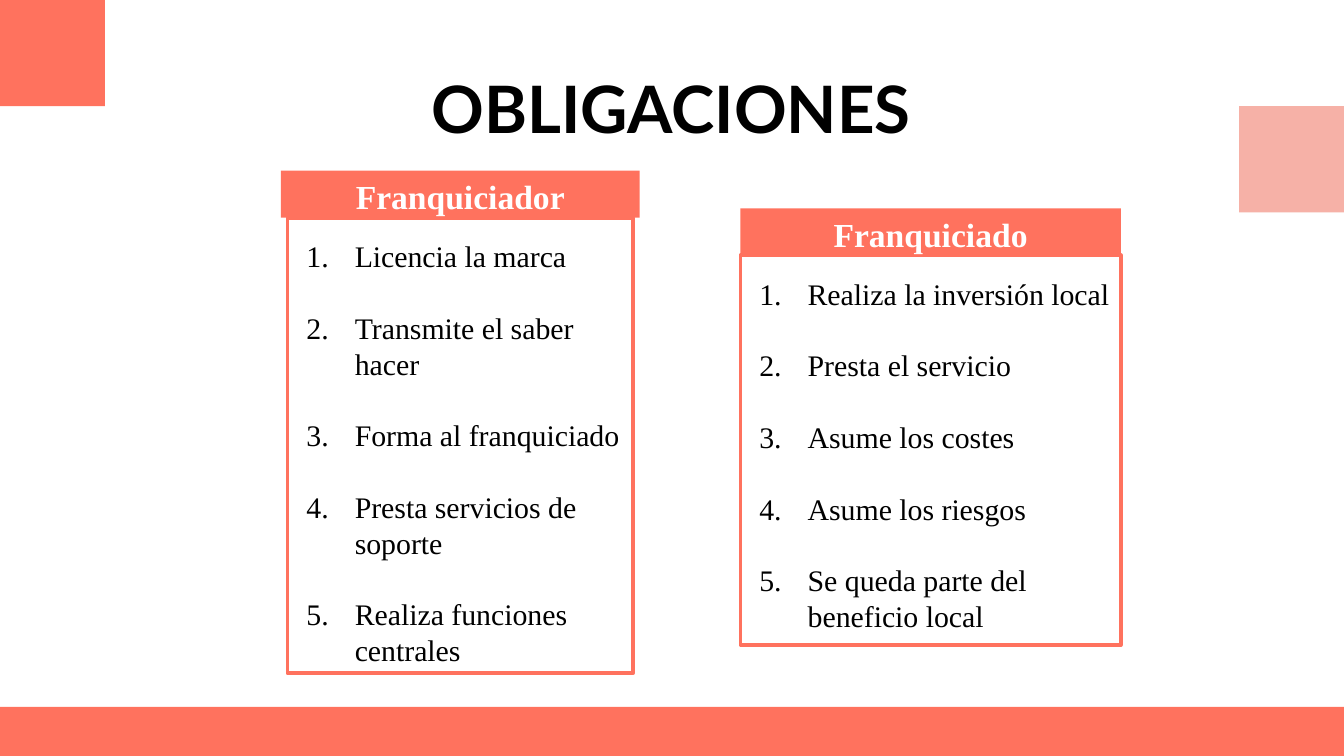
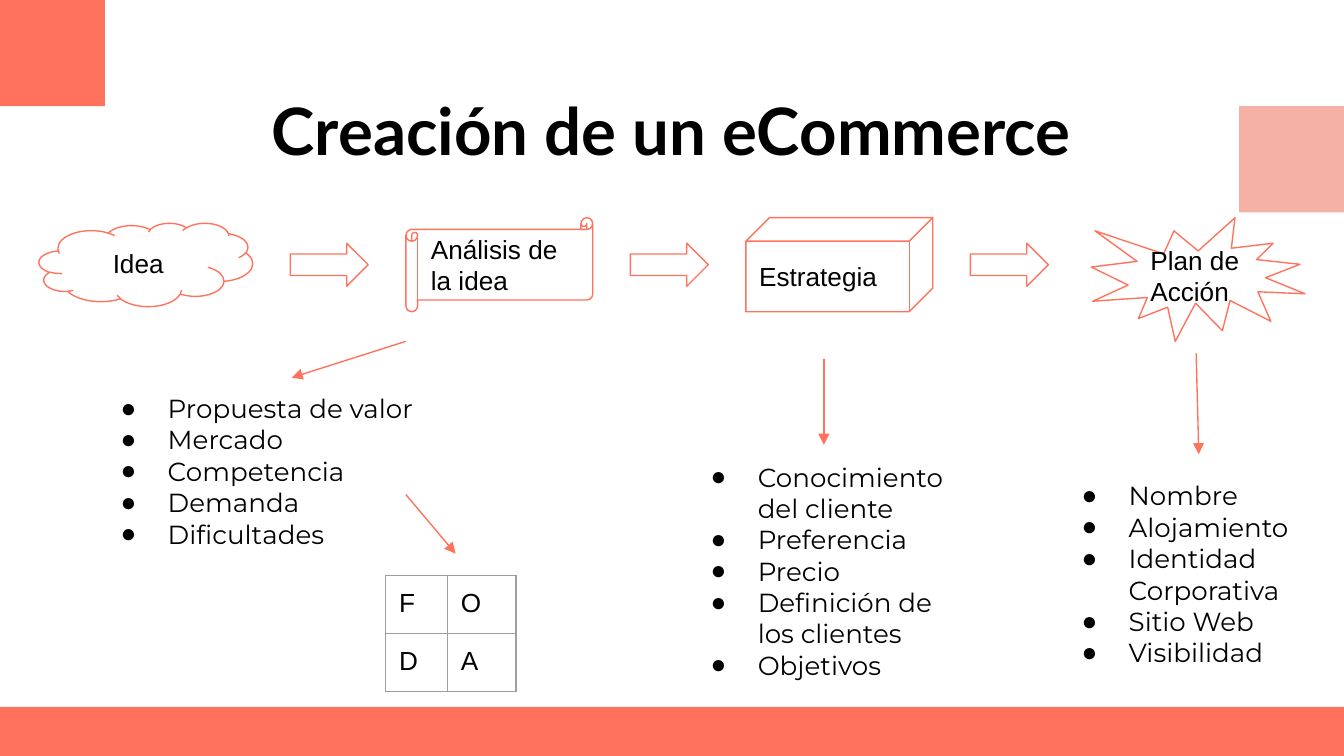
from collections import namedtuple
from dataclasses import dataclass

from lxml.etree import SubElement
from pptx import Presentation
from pptx.dml.color import RGBColor
from pptx.enum.shapes import MSO_CONNECTOR as Connector, MSO_SHAPE as Preset
from pptx.enum.text import MSO_ANCHOR as Anchor, PP_ALIGN as Align
from pptx.oxml.ns import qn
from pptx.util import Inches, Pt

Box = namedtuple("Box", "left top width height")


@dataclass(frozen=True)
class Theme:
    coral: str = "FF725E"
    pink: str = "F6B1A7"
    white: str = "FFFFFF"
    black: str = "000000"
    grid: str = "9E9E9E"
    title_font: str = "Lato"
    card_font: str = "Times New Roman"
    list_font: str = "Montserrat"
    label_font: str = "Arial"
    title_size: int = 35
    heading_size: int = 18
    card_size: int = 16
    body_size: int = 14
    card_line: float = 2
    thin_line: float = 0.75


THEME = Theme()
PAGE = Box(0, 0, 10, 10 * 9 / 16)


# Shared building blocks
def place(box):
    return [Inches(value) for value in box]


def color(value):
    return RGBColor.from_string(value)


def add_preset(slide, preset, box, fill=None, line=None, line_width=THEME.thin_line):
    shape = slide.shapes.add_shape(preset, *place(box))
    shape.shadow.inherit = False
    if fill:
        shape.fill.solid()
        shape.fill.fore_color.rgb = color(fill)
    else:
        shape.fill.background()
    if line:
        shape.line.color.rgb = color(line)
        shape.line.width = Pt(line_width)
        SubElement(shape.line._get_or_add_ln(), qn("a:round"))
    else:
        shape.line.fill.background()
    return shape


def set_frame(frame, insets=(0.1, 0.1, 0.1, 0.1), anchor=Anchor.MIDDLE):
    frame.word_wrap = True
    frame.vertical_anchor = anchor
    (frame.margin_left, frame.margin_top,
     frame.margin_right, frame.margin_bottom) = place(insets)


def add_run(paragraph, text, font, size, ink=THEME.black, bold=False, align=Align.LEFT):
    paragraph.alignment = align
    run = paragraph.add_run()
    run.text = text
    run.font.name = font
    run.font.size = Pt(size)
    run.font.bold = bold
    run.font.color.rgb = color(ink)


def add_marker(paragraph, hanging, numbered):
    properties = paragraph._p.get_or_add_pPr()
    properties.set("marL", str(Inches(0.5)))
    properties.set("indent", str(-Inches(hanging)))
    marker_color = SubElement(properties, qn("a:buClr"))
    SubElement(marker_color, qn("a:srgbClr"), val=THEME.black)
    if numbered:
        SubElement(properties, qn("a:buFont"), typeface=THEME.card_font)
        SubElement(properties, qn("a:buAutoNum"), type="arabicPeriod")
    else:
        SubElement(properties, qn("a:buFont"), typeface=THEME.label_font)
        SubElement(properties, qn("a:buChar"), char="●")


def fill_list(frame, items, font, size, hanging=0.35, numbered=False, gap=0):
    for index, item in enumerate(items):
        paragraph = frame.add_paragraph() if index else frame.paragraphs[0]
        add_marker(paragraph, hanging, numbered)
        if index and gap:
            paragraph.space_before = Pt(gap)
        add_run(paragraph, item, font, size)


def add_arrow(slide, start, end):
    arrow = slide.shapes.add_connector(Connector.STRAIGHT, *place(start + end))
    arrow.line.color.rgb = color(THEME.coral)
    arrow.line.width = Pt(THEME.thin_line)
    SubElement(arrow.line._get_or_add_ln(), qn("a:tailEnd"), type="triangle")
    SubElement(arrow._element.spPr, qn("a:effectLst"))


# Page frame and title
def add_page(presentation, title, title_top):
    slide = presentation.slides.add_slide(presentation.slide_layouts[6])
    square = Box(0, 0, 0.78, 0.79)
    add_preset(slide, Preset.RECTANGLE, square, THEME.coral)
    add_preset(slide, Preset.RECTANGLE, Box(0, 5.26, PAGE.width, 0.39), THEME.coral)
    add_preset(slide, Preset.RECTANGLE,
               square._replace(left=PAGE.width - square.width, top=square.height), THEME.pink)
    frame = slide.shapes.add_textbox(*place(Box(0.65, title_top, 8.69, 0.49))).text_frame
    set_frame(frame)
    add_run(frame.paragraphs[0], title, THEME.title_font, THEME.title_size,
            bold=True, align=Align.CENTER)
    return slide


# Card with a heading bar above a numbered list
def add_duty_card(slide, box, heading, duties, inset=0):
    bar_height = 0.35
    body = Box(box.left + inset, box.top + bar_height,
               box.width - 2 * inset, box.height - bar_height)
    panel = add_preset(slide, Preset.RECTANGLE, body, THEME.white,
                       THEME.coral, THEME.card_line)
    set_frame(panel.text_frame, (0, 0.15, 0, 0), Anchor.TOP)
    fill_list(panel.text_frame, duties, THEME.card_font, THEME.card_size,
              hanging=0.36, numbered=True, gap=19.2)

    bar = add_preset(slide, Preset.RECTANGLE, box._replace(height=bar_height), THEME.coral)
    set_frame(bar.text_frame, (0, 0.04, 0, 0), Anchor.TOP)
    add_run(bar.text_frame.paragraphs[0], heading, THEME.card_font, THEME.heading_size,
            THEME.white, bold=True, align=Align.CENTER)


# Row of outlined steps joined by block arrows
def add_process(slide, box):
    steps = [
        ("Idea", Preset.CLOUD, Box(0, 0.04, 1.59, 0.62), Align.CENTER),
        ("Análisis de la idea", Preset.HORIZONTAL_SCROLL, Box(2.73, 0, 1.39, 0.7), Align.LEFT),
        ("Estrategia", Preset.CUBE, Box(5.26, 0, 1.39, 0.7), Align.LEFT),
        ("Plan de Acción", Preset.EXPLOSION1, Box(7.83, 0, 1.59, 0.92), Align.LEFT),
    ]
    for label, preset, part, align in steps:
        part = part._replace(left=box.left + part.left, top=box.top + part.top)
        step = add_preset(slide, preset, part, line=THEME.coral)
        set_frame(step.text_frame)
        add_run(step.text_frame.paragraphs[0], label, THEME.label_font,
                THEME.body_size, align=align)
    for index in range(len(steps) - 1):
        arrow_box = Box(box.left + 1.87 + 2.53 * index, box.top + 0.19, 0.58, 0.32)
        add_preset(slide, Preset.RIGHT_ARROW, arrow_box, line=THEME.coral)


def add_bullet_list(slide, box, items):
    frame = slide.shapes.add_textbox(*place(box)).text_frame
    set_frame(frame, anchor=Anchor.TOP)
    fill_list(frame, items, THEME.list_font, THEME.body_size)


# Two by two grid of initials
def outline_cell(cell):
    properties = cell._tc.get_or_add_tcPr()
    for position, side in enumerate(("a:lnL", "a:lnR", "a:lnT", "a:lnB")):
        border = properties.makeelement(qn(side), {"w": str(Pt(THEME.thin_line))})
        fill = SubElement(border, qn("a:solidFill"))
        SubElement(fill, qn("a:srgbClr"), val=THEME.grid)
        properties.insert(position, border)


def add_swot_grid(slide, box, rows):
    table = slide.shapes.add_table(len(rows), len(rows[0]), *place(box)).table
    table.first_row = table.horz_banding = False
    for column, width in zip(table.columns, (0.46, box.width - 0.46)):
        column.width = Inches(width)
    for row_index, letters in enumerate(rows):
        for column_index, letter in enumerate(letters):
            cell = table.cell(row_index, column_index)
            cell.fill.background()
            outline_cell(cell)
            (cell.margin_left, cell.margin_top,
             cell.margin_right, cell.margin_bottom) = [Inches(0.1)] * 4
            add_run(cell.text_frame.paragraphs[0], letter, THEME.label_font, THEME.body_size)


# Slides
def build_duties(presentation):
    slide = add_page(presentation, "OBLIGACIONES", 0.55)
    add_duty_card(slide, Box(5.51, 1.55, 2.83, 3.25), "Franquiciado", [
        "Realiza la inversión local", "Presta el servicio", "Asume los costes",
        "Asume los riesgos", "Se queda parte del beneficio local"])
    add_duty_card(slide, Box(2.09, 1.27, 2.67, 3.74), "Franquiciador", [
        "Licencia la marca", "Transmite el saber hacer", "Forma al franquiciado",
        "Presta servicios de soporte", "Realiza funciones centrales"], inset=0.05)


def build_ecommerce(presentation):
    slide = add_page(presentation, "Creación de un eCommerce", 0.72)
    add_process(slide, Box(0.29, 1.62, 9.42, 0.92))
    add_bullet_list(slide, Box(0.65, 2.82, 2.6, 1.35), [
        "Propuesta de valor", "Mercado", "Competencia", "Demanda", "Dificultades"])
    add_swot_grid(slide, Box(2.87, 4.28, 0.97, 0.86), ["FO", "DA"])
    add_bullet_list(slide, Box(5.04, 3.33, 2.2, 1.81), [
        "Conocimiento del cliente", "Preferencia", "Precio",
        "Definición de los clientes", "Objetivos"])
    add_bullet_list(slide, Box(7.8, 3.47, 2.04, 1.52), [
        "Nombre", "Alojamiento", "Identidad Corporativa", "Sitio Web", "Visibilidad"])
    for start, end in [((3.02, 2.54), (2.17, 2.81)), ((3.02, 3.68), (3.39, 4.12)),
                       ((6.13, 2.67), (6.13, 3.31)), ((8.9, 2.63), (8.92, 3.38))]:
        add_arrow(slide, start, end)


def main():
    presentation = Presentation()
    presentation.slide_width = Inches(PAGE.width)
    presentation.slide_height = Inches(PAGE.height)
    build_duties(presentation)
    build_ecommerce(presentation)
    presentation.save("out.pptx")


if __name__ == "__main__":
    main()
